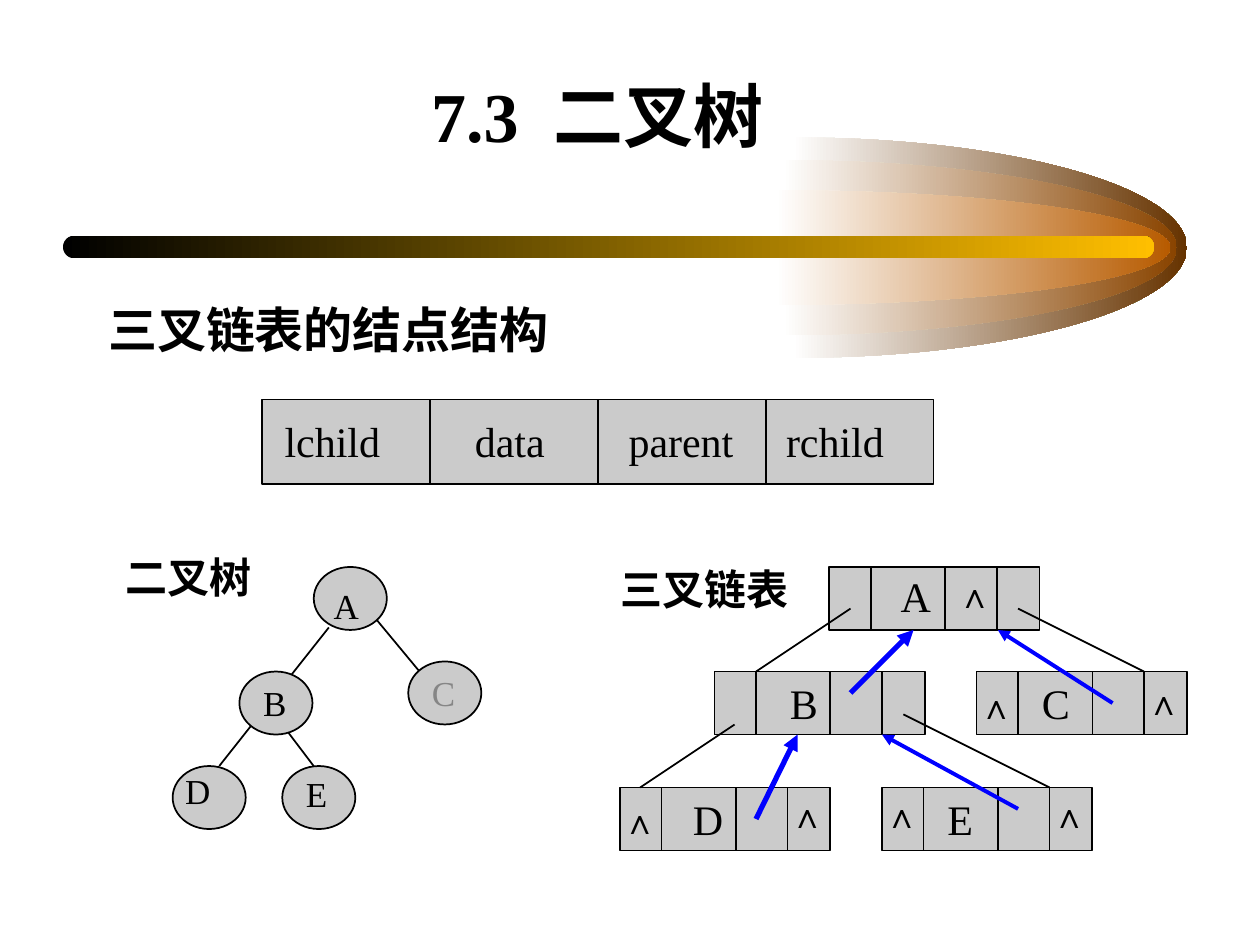
import itertools
from dataclasses import dataclass

from lxml import etree
from pptx import Presentation
from pptx import util as u
from pptx.dml.color import RGBColor
from pptx.enum import shapes, text
from pptx.oxml.ns import qn


@dataclass(frozen=True)
class Theme:
    ink: str = "000000"
    muted: str = "868686"
    panel: str = "CBCBCB"
    link: str = "0000FF"
    paper: str = "FFFFFF"
    gold: str = "FFBF00"
    glow: tuple = ("663300", "894400", "B75B00")
    latin: str = "Times New Roman"
    asian: str = "Noto Sans CJK SC"
    title: int = 40
    subtitle: int = 28
    body: int = 24
    small: int = 20


@dataclass(frozen=True)
class Box:
    left: float
    top: float
    width: float
    height: float

    def inner(self, x, y, width, height):
        return Box(self.left + x, self.top + y, width, height)

    def point(self, x, y):
        return u.Inches(self.left + x), u.Inches(self.top + y)

    def frame(self):
        return (*self.point(0, 0), u.Inches(self.width), u.Inches(self.height))


THEME = Theme()
SHAPE = shapes.MSO_SHAPE


def colour(value):
    return RGBColor.from_string(value)


def add_text(page, box, words, size=THEME.body, bold=False, ink=THEME.ink,
             latin=THEME.latin, align=text.PP_ALIGN.LEFT,
             anchor=text.MSO_ANCHOR.TOP, indent=0, tabs=()):
    frame = page.shapes.add_textbox(*box.frame()).text_frame
    frame.word_wrap = True
    frame.vertical_anchor = anchor
    para = frame.paragraphs[0]
    para.alignment = align
    layout = para._p.get_or_add_pPr()
    layout.set("marL", str(u.Inches(indent)))
    if tabs:
        stops = etree.SubElement(layout, qn("a:tabLst"))
        for tab in tabs:
            etree.SubElement(stops, qn("a:tab"), pos=str(u.Inches(tab)), algn="l")
    span = para.add_run()
    span.text = words
    span.font.size = u.Pt(size)
    span.font.bold = bold
    span.font.name = latin
    span.font.color.rgb = colour(ink)
    etree.SubElement(span._r.get_or_add_rPr(), qn("a:ea"), typeface=THEME.asian)


def add_panel(page, box, kind=SHAPE.RECTANGLE):
    panel = page.shapes.add_shape(kind, *box.frame())
    panel.shadow.inherit = False
    panel.fill.solid()
    panel.fill.fore_color.rgb = colour(THEME.panel)
    panel.line.color.rgb = colour(THEME.ink)
    panel.line.width = u.Pt(1)


def add_line(page, box, start, end, ink=THEME.ink, weight=1, arrow=False):
    line = page.shapes.add_connector(
        shapes.MSO_CONNECTOR.STRAIGHT, *box.point(*start), *box.point(*end))
    line.line.color.rgb = colour(ink)
    line.line.width = u.Pt(weight)
    if arrow:
        etree.SubElement(line.line._get_or_add_ln(), qn("a:tailEnd"), type="triangle")
    etree.SubElement(line._element.spPr, qn("a:effectLst"))


def add_cells(page, box, dividers):
    add_panel(page, box)
    for x in dividers:
        add_line(page, box, (x, 0), (x, box.height))


def paint_gradient(shape, start, end):
    shape.shadow.inherit = False
    shape.line.fill.background()
    shape.fill.gradient()
    shape.fill.gradient_angle = 0
    for stop, position, value in zip(shape.fill.gradient_stops, (0, 1), (start, end)):
        stop.position = position
        stop.color.rgb = colour(value)


def add_half_ellipse(page, box):
    radius, half = box.width, box.height / 2
    bend = 0.55
    outline = [(bend * radius, 0), (radius, half * (1 - bend)), (radius, half),
               (radius, half * (1 + bend)), (bend * radius, box.height),
               (0, box.height), (0, half)]
    builder = page.shapes.build_freeform(*box.point(0, 0), scale=1.0)
    builder.add_line_segments([box.point(*corner) for corner in outline], close=True)
    shape = builder.convert_to_shape()
    segments = list(shape._element.iter(qn("a:lnTo")))
    for first in (0, 3):
        curve = etree.Element(qn("a:cubicBezTo"))
        segments[first].addprevious(curve)
        for segment in segments[first:first + 3]:
            curve.append(segment[0])
            segment.getparent().remove(segment)
    return shape


def draw_banner(page, box):
    middle = box.height / 2
    for x, height, shade in zip((5.79, 5.71, 5.66), (1.75, 1.39, 0.91), THEME.glow):
        glow = add_half_ellipse(page, box.inner(x, middle - height / 2, 3.13, height))
        paint_gradient(glow, THEME.paper, shade)
    bar = page.shapes.add_shape(
        SHAPE.ROUNDED_RECTANGLE, *box.inner(0, 0.78, 8.66, 0.18).frame())
    bar.adjustments[0] = 0.5
    paint_gradient(bar, THEME.ink, THEME.gold)


def draw_node_structure(page, box):
    step = box.width / 4
    add_cells(page, box, [step * index for index in (1, 2, 3)])
    add_text(page, box.inner(-0.16, 0.08, 5.33, 0.5),
             "\tlchild\tdata\tparent\trchild", tabs=(0.24, 1.75, 2.97, 4.22))


def draw_tree(page, box):
    edges = (((1.74, 0.65), (0.87, 1.75)), ((2.12, 0.59), (2.46, 1)),
             ((1.37, 1.42), (1.62, 1.75)))
    for start, end in edges:
        add_line(page, box, start, end)
    nodes = (("A", 1.62, 0.17, 0.06, 0.09, THEME.ink),
             ("B", 1.03, 1, 0.09, 0.03, THEME.ink),
             ("C", 2.37, 0.92, 0.09, 0.03, THEME.muted),
             ("D", 0.5, 1.75, 0, -0.02, THEME.ink),
             ("E", 1.37, 1.75, 0.09, 0, THEME.ink))
    for letter, x, y, right, down, ink in nodes:
        node = box.inner(x, y, 0.58, 0.5)
        add_panel(page, node, SHAPE.OVAL)
        add_text(page, node.inner(right, down, 0.58, 0.44), letter,
                 size=THEME.small, ink=ink)
    add_text(page, box.inner(-0.2, 0, 2, 0.5), "二叉树", bold=True, indent=0.23)


def draw_record(page, box, letter, indent, rise, empty_links):
    add_cells(page, box, (0.33, 0.92, 1.33))
    add_text(page, box.inner(indent, -rise, 0.58, 0.5), letter)
    for x, y in empty_links:
        add_text(page, box.inner(x, y, 0.58, 0.44), "∧", size=THEME.small, bold=True)


def draw_linked_list(page, box):
    left, parent, right = -0.08, 0.92, 1.25
    records = (("E", 2.08, 1.75, 0.42, 0, [(left, 0), (right, 0)]),
               ("D", 0, 1.75, 0.48, 0, [(left, 0.05), (right, 0)]),
               ("C", 2.83, 0.83, 0.42, 0, [(left, 0.05), (right, 0.02)]),
               ("A", 1.66, 0, 0.47, 0.02, [(parent, 0)]),
               ("B", 0.75, 0.83, 0.5, 0, []))
    for letter, x, y, indent, rise, empty_links in records:
        draw_record(page, box.inner(x, y, 1.67, 0.5), letter, indent, rise, empty_links)
    child_links = (((3.16, 0.33), (4.16, 0.83)), ((1.83, 0.33), (1.08, 0.83)),
                   ((0.91, 1.25), (0.16, 1.75)), ((2.25, 1.17), (3.41, 1.75)))
    for start, end in child_links:
        add_line(page, box, start, end)
    parent_links = (((3.91, 1.08), (3, 0.5)), ((3.16, 1.92), (2.08, 1.33)),
                    ((1.83, 1), (2.33, 0.5)), ((1.08, 2), (1.41, 1.33)))
    weights = itertools.chain.from_iterable(itertools.repeat(w, 2) for w in (2.25, 3))
    for (start, end), weight in zip(parent_links, weights):
        add_line(page, box, start, end, ink=THEME.link, weight=weight, arrow=True)
    add_text(page, box.inner(-0.09, -0.08, 1.58, 0.5), "三叉链表", bold=True)


def main():
    deck = Presentation()
    deck.slide_width, deck.slide_height = u.Inches(10), u.Inches(7.5)
    page = deck.slides.add_slide(deck.slide_layouts[6])
    draw_banner(page, Box(0.5, 1.09, 8.92, 1.75))
    add_text(page, Box(0.49, 0.54, 8.5, 0.75), "7.3  二叉树", size=THEME.title, bold=True,
             align=text.PP_ALIGN.CENTER, anchor=text.MSO_ANCHOR.BOTTOM)
    add_text(page, Box(0.67, 2.33, 8.92, 0.83), "三叉链表的结点结构", latin=THEME.asian,
             size=THEME.subtitle, bold=True, indent=0.09)
    draw_node_structure(page, Box(2.08, 3.17, 5.33, 0.67))
    draw_tree(page, Box(0.87, 4.33, 2.95, 2.25))
    draw_linked_list(page, Box(4.92, 4.5, 4.5, 2.25))
    deck.save("out.pptx")


if __name__ == "__main__":
    main()
